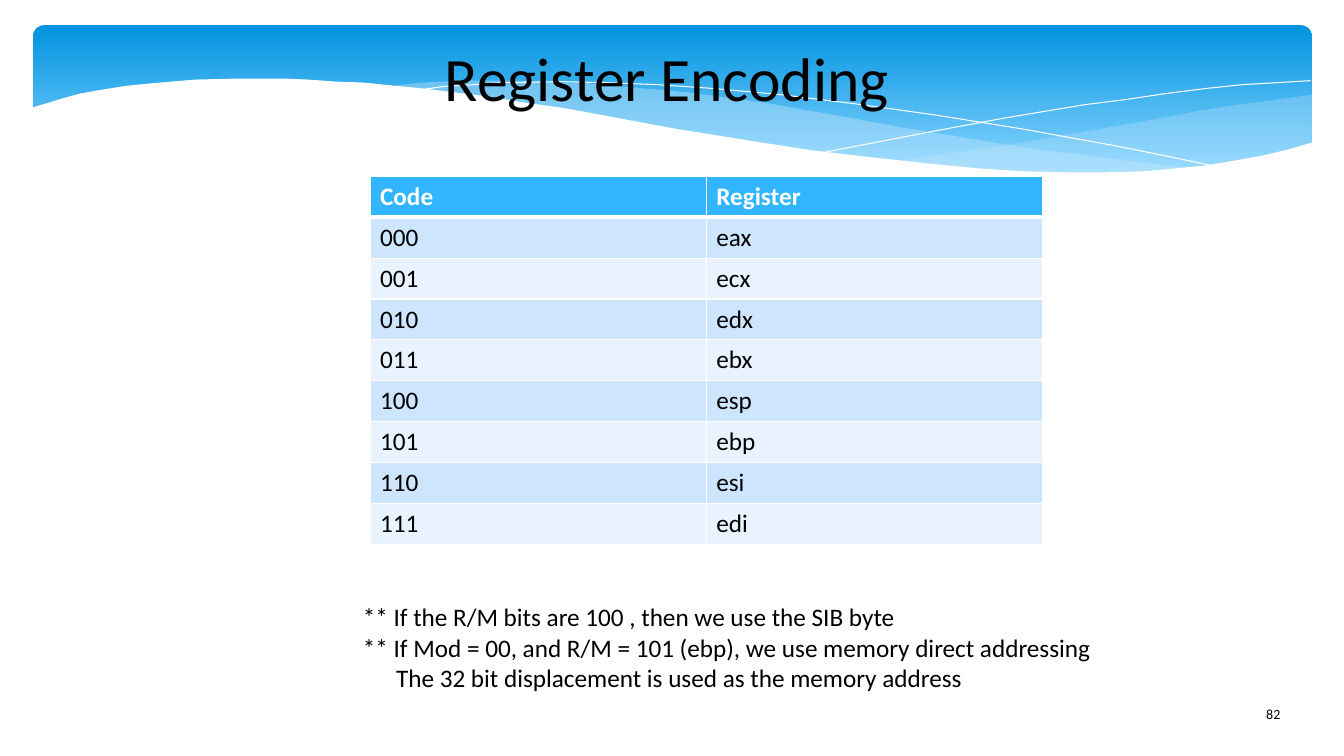
from lxml import etree
from pptx import Presentation
from pptx.dml.color import RGBColor
from pptx.enum.shapes import MSO_SHAPE
from pptx.enum.text import MSO_ANCHOR, PP_ALIGN
from pptx.oxml.ns import qn
from pptx.util import Inches, Pt

ROUNDED = MSO_SHAPE.ROUNDED_RECTANGLE
MIDDLE = MSO_ANCHOR.MIDDLE
TOP = MSO_ANCHOR.TOP
LEFT = PP_ALIGN.LEFT
CENTER = PP_ALIGN.CENTER
FONT = "Calibri"
COLORS = {
    "sky_dark": "0293E0", "sky_light": "83D3FE", "mist": "C6E7FC", "white": "FFFFFF",
    "black": "000000", "header": "31B6FD", "band_dark": "CEE5FE", "band_light": "E8F3FF",
}

RIGHT_WAVE = [
    (13.01, 0.94), (12.65, 0.99), (12.27, 1.04), (11.88, 1.1), (11.47, 1.18), (10.73, 1.31),
    (10.05, 1.43), (9.41, 1.52), (8.82, 1.6), (9.21, 1.64), (9.58, 1.67), (9.93, 1.69),
    (10.25, 1.71), (10.56, 1.72), (10.99, 1.72), (11.38, 1.7), (11.74, 1.67), (12.07, 1.63),
    (12.38, 1.58), (12.66, 1.52), (12.84, 1.47), (13.01, 1.42),
]
MIDDLE_WAVE = [
    (11.9, 1.67), (11.54, 1.64), (11.16, 1.59), (10.76, 1.54), (10.34, 1.49), (9.89, 1.42),
    (9.41, 1.34), (8.91, 1.26), (8.39, 1.16), (7.98, 1.09), (7.59, 1.02), (7.21, 0.97),
    (6.86, 0.92), (6.52, 0.89), (6.19, 0.86), (5.89, 0.83), (5.6, 0.82), (5.06, 0.8),
    (4.59, 0.8), (4.18, 0.82), (3.82, 0.86), (4.31, 0.9), (4.83, 0.97), (5.39, 1.06),
    (5.99, 1.16), (6.54, 1.26), (7.06, 1.35), (7.55, 1.43), (8.02, 1.5), (8.46, 1.56),
    (8.87, 1.61), (9.26, 1.65), (9.63, 1.68), (9.98, 1.7), (10.3, 1.72), (10.61, 1.73),
    (11.04, 1.73), (11.43, 1.71), (11.67, 1.69),
]
FALLING_LINE = [
    (4.12, 0.9), (4.38, 0.86), (4.7, 0.84), (4.99, 0.82), (5.55, 0.81), (6, 0.82),
    (6.52, 0.84), (7.1, 0.88), (7.75, 0.94), (8.48, 1.03), (9.27, 1.14), (10.14, 1.28),
    (11.08, 1.45), (11.58, 1.55), (12.1, 1.66),
]
RISING_LINE = [
    (8.18, 1.51), (8.7, 1.41), (9.27, 1.3), (9.97, 1.17), (10.75, 1.04), (11.15, 0.99),
    (11.55, 0.93), (11.94, 0.88), (12.32, 0.84), (12.67, 0.82), (13, 0.8),
]
WHITE_WAVE = [
    (13.03, 1.41), (12.79, 1.48), (12.54, 1.54), (12.27, 1.59), (11.98, 1.64), (11.67, 1.67),
    (11.34, 1.7), (10.97, 1.71), (10.58, 1.71), (10.15, 1.7), (9.69, 1.67), (9.18, 1.62),
    (8.63, 1.56), (8.04, 1.49), (7.4, 1.39), (6.71, 1.28), (5.96, 1.14), (5.58, 1.07),
    (5.21, 1.02), (4.86, 0.96), (4.53, 0.92), (4.21, 0.88), (3.9, 0.85), (3.61, 0.82),
    (3.33, 0.81), (3.06, 0.79), (2.82, 0.78), (2.35, 0.78), (1.94, 0.79), (1.58, 0.82),
    (1.27, 0.85), (1.01, 0.89), (0.79, 0.93), (0.61, 0.98), (0.48, 1.02), (0.31, 1.07),
    (0.31, 2.24), (13.03, 2.24),
]
REGISTERS = ["eax", "ecx", "edx", "ebx", "esp", "ebp", "esi", "edi"]
NOTES = [
    "** If the R/M bits are 100 , then we use the SIB byte",
    "** If Mod = 00, and R/M = 101 (ebp), we use memory direct addressing",
    "The 32 bit displacement is used as the memory address",
]


def rgb(name):
    """Return the named colour."""
    return RGBColor.from_string(COLORS[name])


def add_banner(page):
    """Add the rounded gradient banner."""
    banner = page.shapes.add_shape(ROUNDED, Inches(0.33), Inches(0.25), Inches(12.68), Inches(1.56))
    banner.adjustments[0] = 0.07
    banner.shadow.inherit = False
    banner.line.fill.background()
    banner.fill.gradient()
    banner.fill.gradient_angle = 270
    stops = zip(banner.fill.gradient_stops, [(0, "sky_dark"), (0.9, "sky_light")])
    for stop, (position, color) in stops:
        stop.position = position
        stop.color.rgb = rgb(color)


def add_outline(page, points, closed):
    """Draw a freeform through points given in inches."""
    corners = [(Inches(x), Inches(y)) for x, y in points]
    builder = page.shapes.build_freeform(*corners[0])
    builder.add_line_segments(corners[1:], close=closed)
    outline = builder.convert_to_shape()
    outline.shadow.inherit = False
    return outline


def add_wave(page, points, color, opacity):
    """Add a filled wave with an opacity in percent."""
    wave = add_outline(page, points, True)
    wave.line.fill.background()
    wave.fill.solid()
    wave.fill.fore_color.rgb = rgb(color)
    if opacity < 100:
        tone = wave.fill._xPr.find(qn("a:solidFill"))[0]
        etree.SubElement(tone, qn("a:alpha"), val=str(opacity * 1000))


def add_hairline(page, points):
    """Add a thin white curve."""
    curve = add_outline(page, points, False)
    curve.fill.background()
    curve.line.color.rgb = rgb("white")
    curve.line.width = Pt(0)


def style_text(para, size, color, bold=False):
    """Format every run of a paragraph."""
    for span in para.runs:
        span.font.name = FONT
        span.font.size = Pt(size)
        span.font.bold = bold
        span.font.color.rgb = rgb(color)


def add_text(page, place, lines, size, align=LEFT, anchor=TOP):
    """Add a text box with one paragraph per line."""
    box = page.shapes.add_textbox(*(Inches(length) for length in place))
    frame = box.text_frame
    frame.word_wrap = True
    frame.vertical_anchor = anchor
    frame.text = "\n".join(lines)
    for para in frame.paragraphs:
        para.alignment = align
        style_text(para, size, "black")
    return frame


def add_borders(cell, bottom_width):
    """Give a cell white borders."""
    properties = cell._tc.get_or_add_tcPr()
    for side, width in (("L", 1), ("R", 1), ("T", 1), ("B", bottom_width)):
        border = etree.SubElement(properties, qn(f"a:ln{side}"), w=str(Pt(width)))
        paint = etree.SubElement(border, qn("a:solidFill"))
        etree.SubElement(paint, qn("a:srgbClr"), val=COLORS["white"])


def add_register_table(page):
    """Add the table of register codes."""
    rows = [("Code", "Register")]
    rows += [(f"{code:03b}", register) for code, register in enumerate(REGISTERS)]
    table = page.shapes.add_table(
        len(rows), 2, Inches(3.67), Inches(1.75), Inches(6.67), Inches(3.65)).table
    for index, values in enumerate(rows):
        header = index == 0
        band = "band_dark" if index % 2 else "band_light"
        for column, value in enumerate(values):
            cell = table.cell(index, column)
            cell.text = value
            style_text(cell.text_frame.paragraphs[0], 18, "white" if header else "black", header)
            add_borders(cell, 3 if header else 1)
            cell.fill.solid()
            cell.fill.fore_color.rgb = rgb("header" if header else band)


def main():
    """Build the slide and save it."""
    deck = Presentation()
    deck.slide_width, deck.slide_height = Inches(13.33), Inches(7.5)
    page = deck.slides.add_slide(deck.slide_layouts[6])
    add_banner(page)
    add_wave(page, RIGHT_WAVE, "mist", 29)
    add_wave(page, MIDDLE_WAVE, "mist", 40)
    add_hairline(page, FALLING_LINE)
    add_hairline(page, RISING_LINE)
    add_wave(page, WHITE_WAVE, "white", 100)
    add_text(page, (12.46, 6.95, 0.82, 0.4), ["82"], 10)
    title = add_text(page, (2.56, 0.25, 8.11, 1.02), ["Register Encoding"], 44, CENTER, MIDDLE)
    title.margin_left = title.margin_right = title.margin_top = title.margin_bottom = 0
    add_register_table(page)
    notes = add_text(page, (3.5, 5.92, 7.62, 1.01), NOTES, 18)
    notes.paragraphs[-1]._p.get_or_add_pPr().set("marL", str(Inches(0.33)))
    deck.save("out.pptx")


if __name__ == "__main__":
    main()
